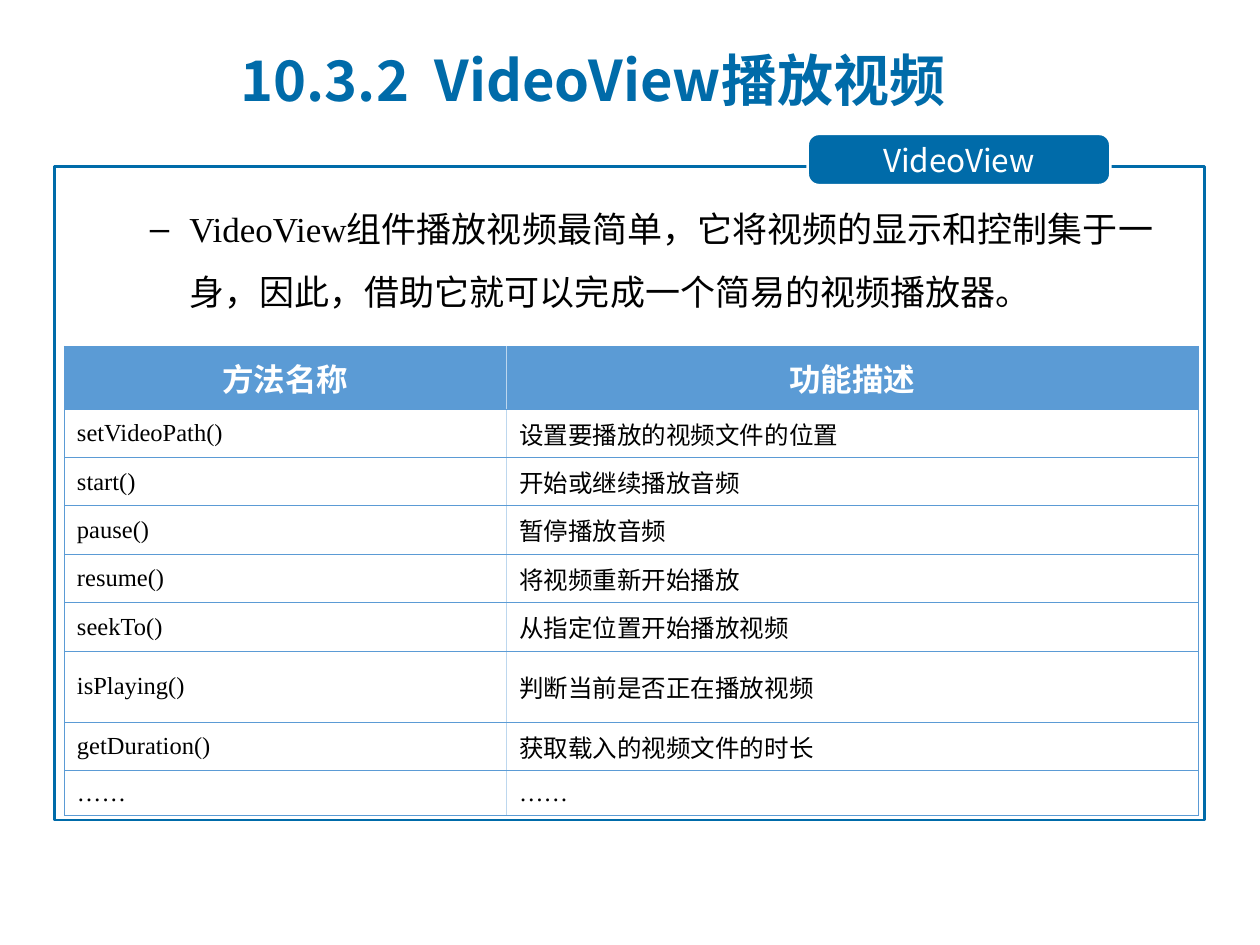
from lxml.etree import SubElement
from pptx import Presentation
from pptx.dml.color import RGBColor
from pptx.enum.shapes import MSO_SHAPE
from pptx.enum.text import MSO_ANCHOR, MSO_AUTO_SIZE, PP_ALIGN
from pptx.oxml.ns import qn
from pptx.util import Pt

BLUE = RGBColor(0x00, 0x6B, 0xA9)
HEADER_BLUE = RGBColor(0x5B, 0x9B, 0xD5)
PALE_BLUE = RGBColor(0xBD, 0xD7, 0xEE)
WHITE = RGBColor(0xFF, 0xFF, 0xFF)
BLACK = RGBColor(0x00, 0x00, 0x00)

HEADING_FONT = "Noto Sans CJK SC"
TABLE_FONT = "Arial"
LATIN_FONT = "Times New Roman"

METHODS = [
    ("方法名称", "功能描述"),
    ("setVideoPath()", "设置要播放的视频文件的位置"),
    ("start()", "开始或继续播放音频"),
    ("pause()", "暂停播放音频"),
    ("resume()", "将视频重新开始播放"),
    ("seekTo()", "从指定位置开始播放视频"),
    ("isPlaying()", "判断当前是否正在播放视频"),
    ("getDuration()", "获取载入的视频文件的时长"),
    ("……", "……"),
]
COLUMN_WIDTHS = [252.6, 395.4]
ROW_HEIGHTS = [36, 24] + [25.4] * 4 + [40.8] + [25.4] * 2


def place(shape, left, top, width, height):
    shape.left, shape.top = Pt(left), Pt(top)
    shape.width, shape.height = Pt(width), Pt(height)


def style(paragraph, name, size, color, bold=False):
    font = paragraph.font
    font.name, font.size, font.bold = name, Pt(size), bold
    font.color.rgb = color


def set_indent(paragraph, margin, hanging, bullet=None):
    properties = paragraph._p.get_or_add_pPr()
    properties.set("marL", str(Pt(margin)))
    properties.set("indent", str(Pt(-hanging)))
    if bullet:
        SubElement(properties, qn("a:buChar")).set("char", bullet)
    else:
        SubElement(properties, qn("a:buNone"))


def fill_title(title, text):
    place(title, 130.3, 15.1, 501.8, 60.5)
    frame = title.text_frame
    frame.text = text
    frame.auto_size = MSO_AUTO_SIZE.NONE
    frame.vertical_anchor = MSO_ANCHOR.MIDDLE
    paragraph = frame.paragraphs[0]
    set_indent(paragraph, 44.6, 44.6)
    paragraph.alignment = PP_ALIGN.LEFT
    style(paragraph, HEADING_FONT, 32, BLUE, bold=True)


def fill_body(body, text):
    place(body, 42.5, 103, 627.8, 84.2)
    frame = body.text_frame
    frame.text = text
    frame.auto_size = MSO_AUTO_SIZE.NONE
    paragraph = frame.paragraphs[0]
    paragraph.level = 1
    set_indent(paragraph, 58.5, 22.5, "–")
    paragraph.line_spacing = 1.5
    paragraph.space_before = Pt(0)
    style(paragraph, LATIN_FONT, 20, BLACK)


def add_box(slide, kind, bounds, fill, line):
    shape = slide.shapes.add_shape(kind, *map(Pt, bounds))
    shape.shadow.inherit = False
    if fill is None:
        shape.fill.background()
    else:
        shape.fill.solid()
        shape.fill.fore_color.rgb = fill
    shape.line.color.rgb = line
    shape.line.width = Pt(1.5)
    return shape


def add_tab(slide, text):
    tab = add_box(slide, MSO_SHAPE.ROUNDED_RECTANGLE, (461.5, 76.5, 173, 29.3), BLUE, WHITE)
    tab.adjustments[0] = 0.22
    frame = tab.text_frame
    frame.text = text
    frame.vertical_anchor = MSO_ANCHOR.MIDDLE
    frame.paragraphs[0].alignment = PP_ALIGN.CENTER
    style(frame.paragraphs[0], HEADING_FONT, 18, WHITE)


def set_border(cell, side, color, width):
    properties = cell._tc.get_or_add_tcPr()
    line = SubElement(properties, qn("a:" + side), w=str(Pt(width)))
    solid = SubElement(line, qn("a:solidFill"))
    SubElement(solid, qn("a:srgbClr"), val=str(color))


def format_cell(cell, text, row, column):
    # Borders come before the fill in the cell properties
    outer, inner = (HEADER_BLUE, 0.5), (PALE_BLUE, 1)
    set_border(cell, "lnL", *(inner if column else outer))
    set_border(cell, "lnR", *(outer if column else inner))
    set_border(cell, "lnT", *outer)
    set_border(cell, "lnB", *outer)
    cell.fill.solid()
    cell.fill.fore_color.rgb = WHITE if row else HEADER_BLUE
    cell.vertical_anchor = MSO_ANCHOR.MIDDLE
    cell.text = text
    paragraph = cell.text_frame.paragraphs[0]
    if row == 0:
        paragraph.alignment = PP_ALIGN.CENTER
        style(paragraph, TABLE_FONT, 18, WHITE, bold=True)
    else:
        is_description = column == 1 and row < len(METHODS) - 1
        style(paragraph, TABLE_FONT if is_description else LATIN_FONT, 14, BLACK)


def add_method_table(slide):
    frame = slide.shapes.add_table(
        len(METHODS), len(COLUMN_WIDTHS), Pt(36.8), Pt(197.8),
        Pt(sum(COLUMN_WIDTHS)), Pt(sum(ROW_HEIGHTS)))
    table = frame.table
    for column, width in zip(table.columns, COLUMN_WIDTHS):
        column.width = Pt(width)
    for row, height in zip(table.rows, ROW_HEIGHTS):
        row.height = Pt(height)
    for row, texts in enumerate(METHODS):
        for column, text in enumerate(texts):
            format_cell(table.cell(row, column), text, row, column)


def main():
    presentation = Presentation()
    presentation.slide_width, presentation.slide_height = Pt(720), Pt(540)
    slide = presentation.slides.add_slide(presentation.slide_layouts[1])

    # Heading and introduction
    fill_title(slide.shapes.title, "10.3.2  VideoView播放视频")
    fill_body(slide.placeholders[1],
              "VideoView组件播放视频最简单，它将视频的显示和控制集于一身，"
              "因此，借助它就可以完成一个简易的视频播放器。")

    # Frame with its label tab
    add_box(slide, MSO_SHAPE.RECTANGLE, (31, 95, 657.4, 373.7), None, BLUE)
    add_tab(slide, "VideoView")

    # Methods and what they do
    add_method_table(slide)

    presentation.save("out.pptx")


if __name__ == "__main__":
    main()
